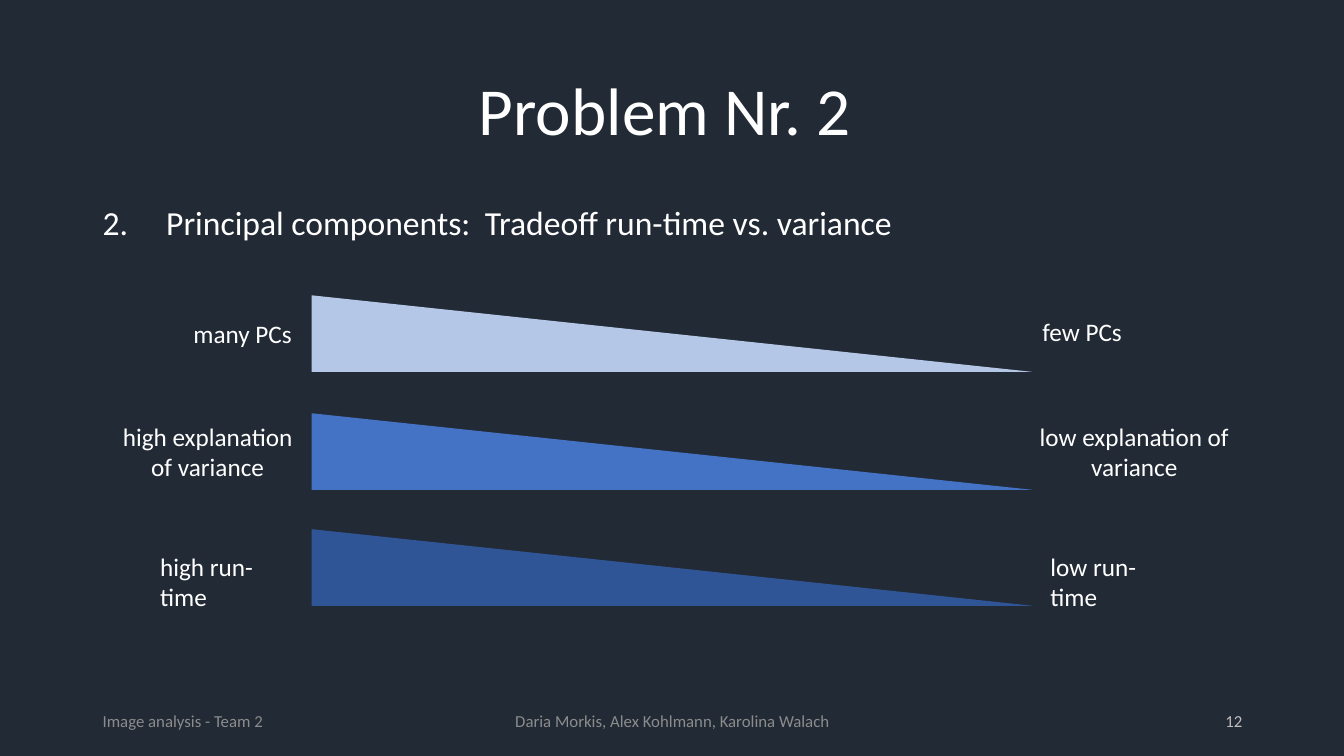
from pptx import Presentation
from pptx.dml.color import RGBColor
from pptx.enum.shapes import MSO_SHAPE as Shape
from pptx.enum.text import MSO_ANCHOR as Anchor, PP_ALIGN as Align
from pptx.oxml.ns import qn
from pptx.util import Inches, Pt
from lxml import etree


def color(value):
    return RGBColor.from_string(value)


class SlideBuilder:
    """Draws text and wedges on one slide in a shared style."""

    font = "Calibri"
    text_color = "FFFFFF"

    def __init__(self, slide, background):
        self.slide = slide
        fill = slide.background.fill
        fill.solid()
        fill.fore_color.rgb = color(background)

    def text(self, box, words, size=18, ink=text_color, align=Align.LEFT,
             anchor=Anchor.TOP, spacing=1.0, wrap=True, tabs=()):
        frame = self.slide.shapes.add_textbox(*map(Inches, box)).text_frame
        frame.word_wrap = wrap
        frame.vertical_anchor = anchor
        paragraph = frame.paragraphs[0]
        paragraph.text = words
        paragraph.alignment = align
        paragraph.line_spacing = spacing
        if tabs:
            stops = etree.SubElement(paragraph._p.get_or_add_pPr(), qn("a:tabLst"))
            for position in tabs:
                etree.SubElement(stops, qn("a:tab"), pos=str(Inches(position)), algn="l")
        paragraph.font.name = self.font
        paragraph.font.size = Pt(size)
        paragraph.font.color.rgb = color(ink)

    def wedge(self, top, fill):
        triangle = self.slide.shapes.add_shape(
            Shape.RIGHT_TRIANGLE, Inches(3.09), Inches(top), Inches(7.15), Inches(0.76))
        triangle.shadow.inherit = False
        triangle.fill.solid()
        triangle.fill.fore_color.rgb = color(fill)
        triangle.line.fill.background()


def main():
    deck = Presentation()
    deck.slide_width, deck.slide_height = Inches(13.33), Inches(7.5)
    builder = SlideBuilder(deck.slides.add_slide(deck.slide_layouts[6]), "222A35")

    builder.text((0.92, 0.4, 11.5, 1.45), "Problem Nr. 2 ", size=48,
                 align=Align.CENTER, anchor=Anchor.MIDDLE, spacing=0.9)
    builder.text((0.92, 2, 11.5, 4.76),
                 "2.\tPrincipal components:\tTradeoff run-time vs. variance",
                 size=24, spacing=0.9, tabs=(0.63, 3.79))

    footers = [
        (0.92, 3, "Image analysis - Team 2", "8C8C8C", Align.LEFT),
        (4.42, 4.5, "Daria Morkis, Alex Kohlmann, Karolina Walach", "8C8C8C", Align.CENTER),
        (9.42, 3, "12", "BFBFBF", Align.RIGHT),
    ]
    for left, width, words, ink, align in footers:
        builder.text((left, 6.95, width, 0.4), words, size=12, ink=ink,
                     align=align, anchor=Anchor.MIDDLE)

    for top, fill in ((2.93, "B4C7E7"), (4.1, "4472C4"), (5.25, "2F5597")):
        builder.wedge(top, fill)

    labels = [
        ((1.82, 3.11, 1.2, 0.4), "many PCs", Align.LEFT, False),
        ((1.03, 4.13, 2.06, 0.71), "high explanation of variance", Align.CENTER, True),
        ((1.49, 5.42, 1.2, 0.71), "high run-time", Align.LEFT, True),
        ((10.24, 3.09, 1.01, 0.4), "few PCs", Align.LEFT, False),
        ((10.2, 4.13, 2.1, 0.71), "low explanation of variance", Align.CENTER, True),
        ((10.32, 5.42, 1.2, 0.71), "low run-time", Align.LEFT, True),
    ]
    for box, words, align, wrap in labels:
        builder.text(box, words, align=align, wrap=wrap)

    deck.save("out.pptx")


if __name__ == "__main__":
    main()
